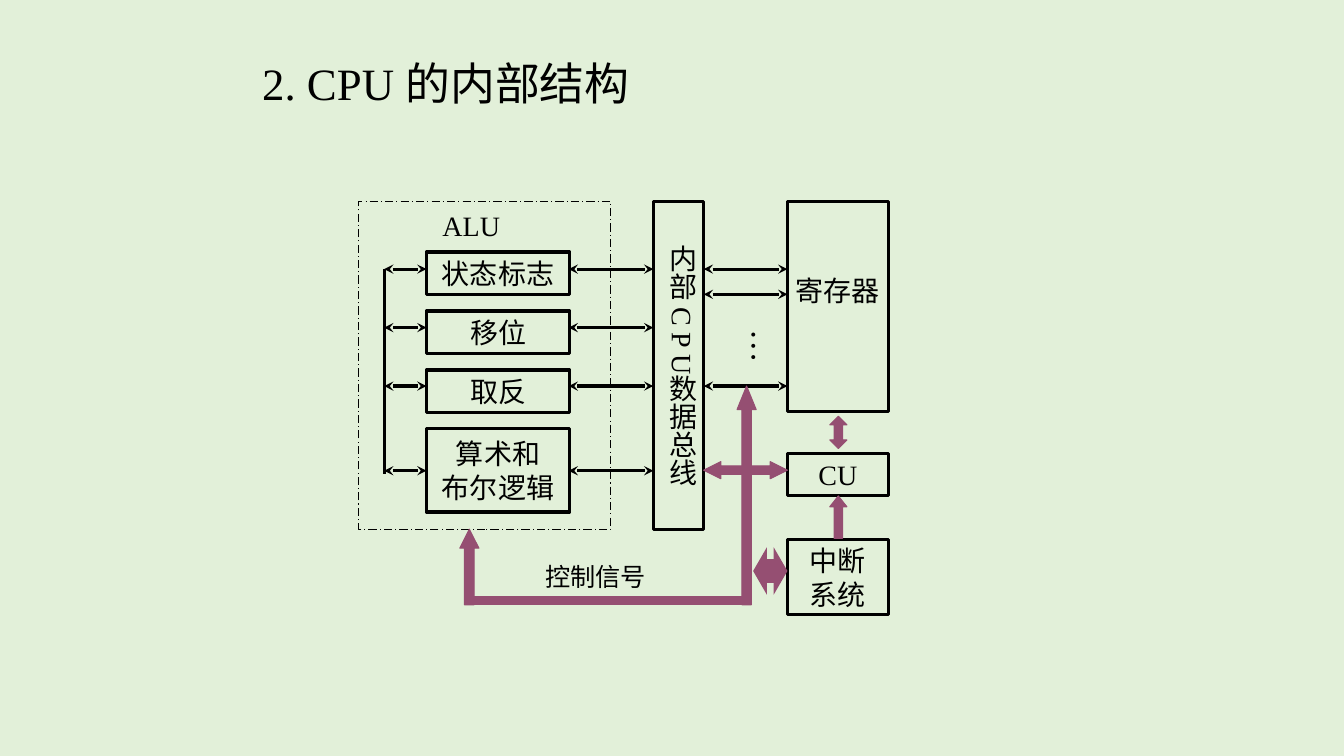
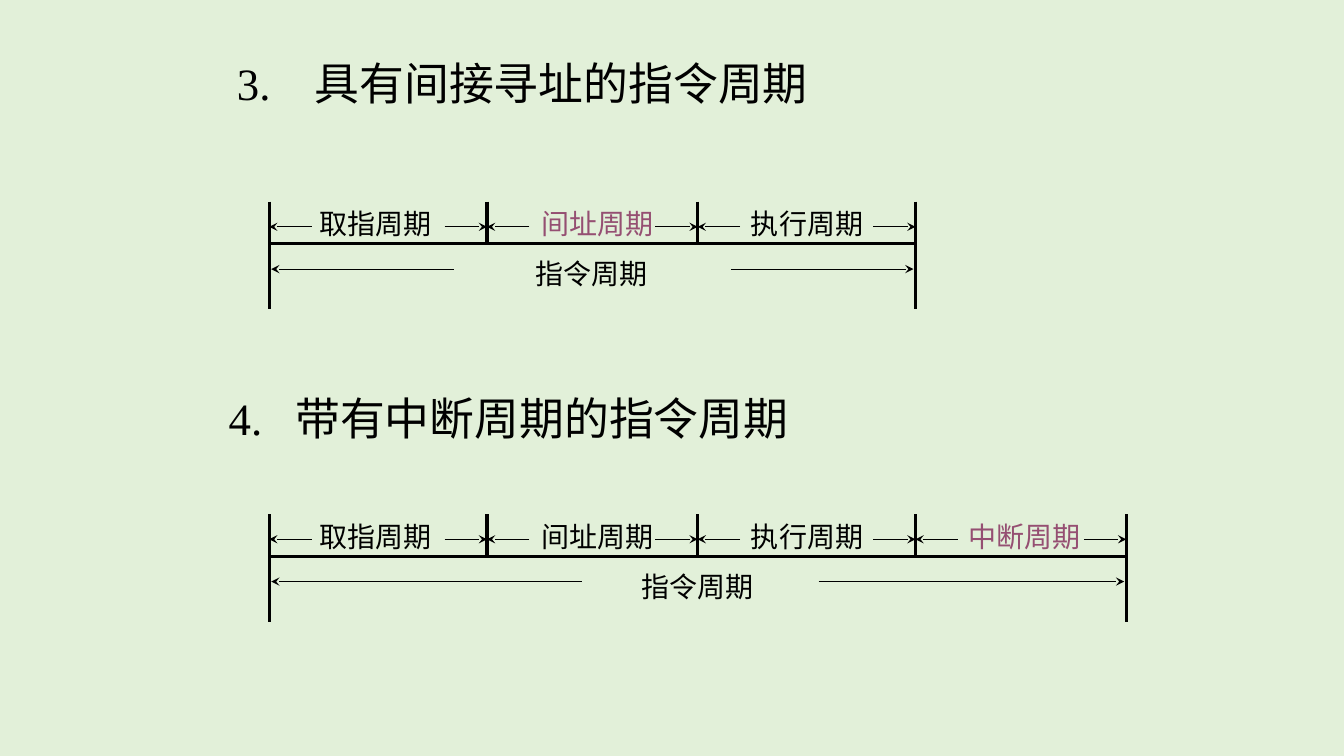
"""Build two slides on CPU structure and instruction cycles."""
from lxml.etree import SubElement
from pptx import Presentation
from pptx.dml.color import RGBColor
from pptx.enum.dml import MSO_LINE
from pptx.enum.shapes import MSO_CONNECTOR, MSO_SHAPE
from pptx.enum.text import MSO_ANCHOR, MSO_AUTO_SIZE, PP_ALIGN
from pptx.oxml.ns import qn
from pptx.util import Inches, Pt

BLACK = RGBColor(0x00, 0x00, 0x00)
PLUM = RGBColor(0x95, 0x4F, 0x72)
PALE_GREEN = RGBColor(0xE2, 0xF0, 0xD9)
FONT = "Times New Roman"
THICK, THIN = 2.25, 0.75
TITLE_ONLY = 5

PHASES = [
    ("取指周期", 2.67, 3.07),
    ("间址周期", 4.83, 5.27),
    ("执行周期", 6.92, 7.35),
    ("中断周期", 9.08, 9.51),
]


def format_text(text_frame, size, color=BLACK, align=PP_ALIGN.LEFT):
    """Apply the shared font to every run."""
    for paragraph in text_frame.paragraphs:
        paragraph.alignment = align
        for run in paragraph.runs:
            run.font.name = FONT
            run.font.size = Pt(size)
            run.font.color.rgb = color


def format_heading(shape, text, left, top, width, hanging=0):
    """Place a heading whose number may hang before its text."""
    shape.left, shape.top = Inches(left), Inches(top)
    shape.width, shape.height = Inches(width), Inches(0.63)
    text_frame = shape.text_frame
    text_frame.text = text
    text_frame.word_wrap = True
    text_frame.auto_size = MSO_AUTO_SIZE.NONE
    text_frame.vertical_anchor = MSO_ANCHOR.TOP
    format_text(text_frame, 32)
    if hanging:
        properties = text_frame.paragraphs[0]._p.get_or_add_pPr()
        properties.set("marL", str(Inches(hanging)))
        properties.set("indent", str(-Inches(hanging)))


def add_label(slide, text, left, top, width, height=0.43, size=20,
              color=BLACK, vertical=False):
    """Add a text box, with upright characters if vertical."""
    label = slide.shapes.add_textbox(
        Inches(left), Inches(top), Inches(width), Inches(height))
    text_frame = label.text_frame
    text_frame.text = text
    text_frame.word_wrap = vertical
    format_text(text_frame, size, color)
    if vertical:
        text_frame._txBody.bodyPr.set("vert", "eaVert")


def add_box(slide, left, top, width, height, text="", text_top=None,
            weight=THICK, dash=None):
    """Add an outlined box with centred text."""
    box = slide.shapes.add_shape(
        MSO_SHAPE.RECTANGLE,
        Inches(left), Inches(top), Inches(width), Inches(height))
    box.shadow.inherit = False
    box.fill.background()
    box.line.color.rgb = BLACK
    box.line.width = Pt(weight)
    if dash:
        box.line.dash_style = dash
    text_frame = box.text_frame
    text_frame.margin_left = text_frame.margin_right = 0
    text_frame.margin_top = text_frame.margin_bottom = 0
    if text_top is not None:
        text_frame.vertical_anchor = MSO_ANCHOR.TOP
        text_frame.margin_top = Inches(text_top)
    text_frame.text = text
    format_text(text_frame, 20, align=PP_ALIGN.CENTER)


def add_signal(slide, kind, left, top, width, height, adjustments=(),
               outlined=True):
    """Add a plum block arrow or bar."""
    signal = slide.shapes.add_shape(
        kind, Inches(left), Inches(top), Inches(width), Inches(height))
    signal.shadow.inherit = False
    signal.fill.solid()
    signal.fill.fore_color.rgb = PLUM
    if outlined:
        signal.line.color.rgb = PLUM
        signal.line.width = Pt(THIN)
    else:
        signal.line.fill.background()
    for index, value in enumerate(adjustments):
        signal.adjustments[index] = value


def add_line(slide, start, end, weight=THICK, ends=()):
    """Add a straight line with stealth arrowheads at the named ends."""
    points = [Inches(value) for value in (*start, *end)]
    connector = slide.shapes.add_connector(MSO_CONNECTOR.STRAIGHT, *points)
    connector.line.color.rgb = BLACK
    connector.line.width = Pt(weight)
    properties = connector.element.spPr
    outline = properties.find(qn("a:ln"))
    for name in ends:
        SubElement(outline, qn(f"a:{name}")).set("type", "stealth")
    SubElement(properties, qn("a:effectLst"))


def add_arrow(slide, start_x, end_x, y):
    """Add a thin horizontal arrow."""
    add_line(slide, (start_x, y), (end_x, y), THIN, ["tailEnd"])


def add_titled_slide(presentation, *heading):
    """Add a title-only slide with its heading."""
    layout = presentation.slide_layouts[TITLE_ONLY]
    slide = presentation.slides.add_slide(layout)
    format_heading(slide.shapes.title, *heading)
    return slide


def add_alu(slide):
    """Draw the ALU frame and its four units."""
    add_box(slide, 3.56, 2, 2.5, 3.25, weight=THIN,
            dash=MSO_LINE.LONG_DASH_DOT)
    add_label(slide, "ALU", 4.29, 2.02, 0.79)
    for index, name in enumerate(["状态标志", "移位", "取反"]):
        add_box(slide, 4.23, 2.5 + index * 0.585, 1.42, 0.42, name)
    add_box(slide, 4.23, 4.25, 1.42, 0.83, "算术和\n布尔逻辑")


def add_bus_lines(slide):
    """Join the units, the bus and the registers."""
    unit_rows = [2.67, 3.25, 3.83, 4.67]
    spans = [(3.81, 4.23, unit_rows), (5.64, 6.48, unit_rows),
             (6.98, 7.81, [2.67, 2.92, 3.83])]
    for left, right, rows in spans:
        for y in rows:
            add_line(slide, (left, y), (right, y),
                     ends=["headEnd", "tailEnd"])
    add_line(slide, (3.81, 2.67), (3.81, 4.7))


def add_control_signals(slide):
    """Draw the control paths."""
    add_signal(slide, MSO_SHAPE.LEFT_RIGHT_ARROW,
               6.98, 4.58, 0.83, 0.17, (0.5, 1))
    add_signal(slide, MSO_SHAPE.UP_ARROW,
               8.23, 4.92, 0.17, 0.42, (0.5, 0.63))
    add_signal(slide, MSO_SHAPE.UP_ARROW,
               7.31, 3.83, 0.19, 2.17, (0.5, 1.23))
    add_signal(slide, MSO_SHAPE.UP_ARROW,
               4.56, 5.25, 0.19, 0.75, (0.5, 0.99))
    add_signal(slide, MSO_SHAPE.RECTANGLE, 4.64, 5.92, 2.75, 0.08)
    add_signal(slide, MSO_SHAPE.LEFT_RIGHT_ARROW,
               7.47, 5.43, 0.34, 0.47, (0.5, 0.4), outlined=False)
    add_signal(slide, MSO_SHAPE.UP_DOWN_ARROW,
               8.23, 4.13, 0.17, 0.32, (0.5, 0.5))
    add_label(slide, "控制信号", 5.31, 5.52, 1.21, 0.4, size=18)


def build_structure_slide(presentation):
    """Build the slide on the inside of the CPU."""
    slide = add_titled_slide(presentation, "2. CPU 的内部结构", 2.5, 0.5, 5.08)
    add_alu(slide)
    add_box(slide, 6.48, 2, 0.5, 3.25)
    add_label(slide, "内部 C P U数据总线", 6.45, 2.33, 0.54, 2.9,
              vertical=True)
    add_box(slide, 7.81, 2, 1, 2.08, "寄存器", text_top=0.71)
    add_box(slide, 7.81, 4.5, 1, 0.42, "CU")
    add_box(slide, 7.81, 5.35, 1, 0.75, "中断\n系统")
    add_bus_lines(slide)
    add_label(slide, "…", 7.23, 3.17, 0.61, 0.75, size=24, vertical=True)
    add_control_signals(slide)


def add_timeline(slide, top, phases, end, gap, highlight):
    """Draw an instruction cycle divided into phases."""
    starts = [start for _, start, _ in phases]
    first = starts[0]
    baseline = top + 0.42
    add_line(slide, (first, baseline), (end, baseline))
    for x in (*starts, end):
        depth = 1.07 if x in (first, end) else 0.42
        add_line(slide, (x, top), (x, top + depth))
    for (name, start, label_left), stop in zip(phases, starts[1:] + [end]):
        color = PLUM if name == highlight else BLACK
        add_label(slide, name, label_left, top, 1.32, color=color)
        add_arrow(slide, start + 0.42, start, top + 0.25)
        add_arrow(slide, stop - 0.42, stop, top + 0.25)
    add_label(slide, "指令周期", (first + end) / 2 - 0.66, top + 0.5, 1.32)
    add_arrow(slide, gap[0], first + 0.02, top + 0.67)
    add_arrow(slide, gap[1], end - 0.02, top + 0.67)


def build_cycle_slide(presentation):
    """Build the slide on the two instruction cycles."""
    slide = add_titled_slide(
        presentation, "3.\t具有间接寻址的指令周期", 2.25, 0.5, 6.25, 0.77)
    add_timeline(slide, 2, PHASES[:3], 9.08, (4.5, 7.25), "间址周期")
    heading = slide.shapes.add_textbox(0, 0, 0, 0)
    format_heading(heading, "4.\t带有中断周期的指令周期",
                   2.17, 3.83, 6.25, 0.66)
    add_timeline(slide, 5.1, PHASES, 11.17, (5.77, 8.12), "中断周期")


def main():
    """Build and save the presentation."""
    presentation = Presentation()
    presentation.slide_width = Inches(13.33)
    presentation.slide_height = Inches(7.5)
    background = presentation.slide_master.background.fill
    background.solid()
    background.fore_color.rgb = PALE_GREEN
    build_structure_slide(presentation)
    build_cycle_slide(presentation)
    presentation.save("out.pptx")


main()
